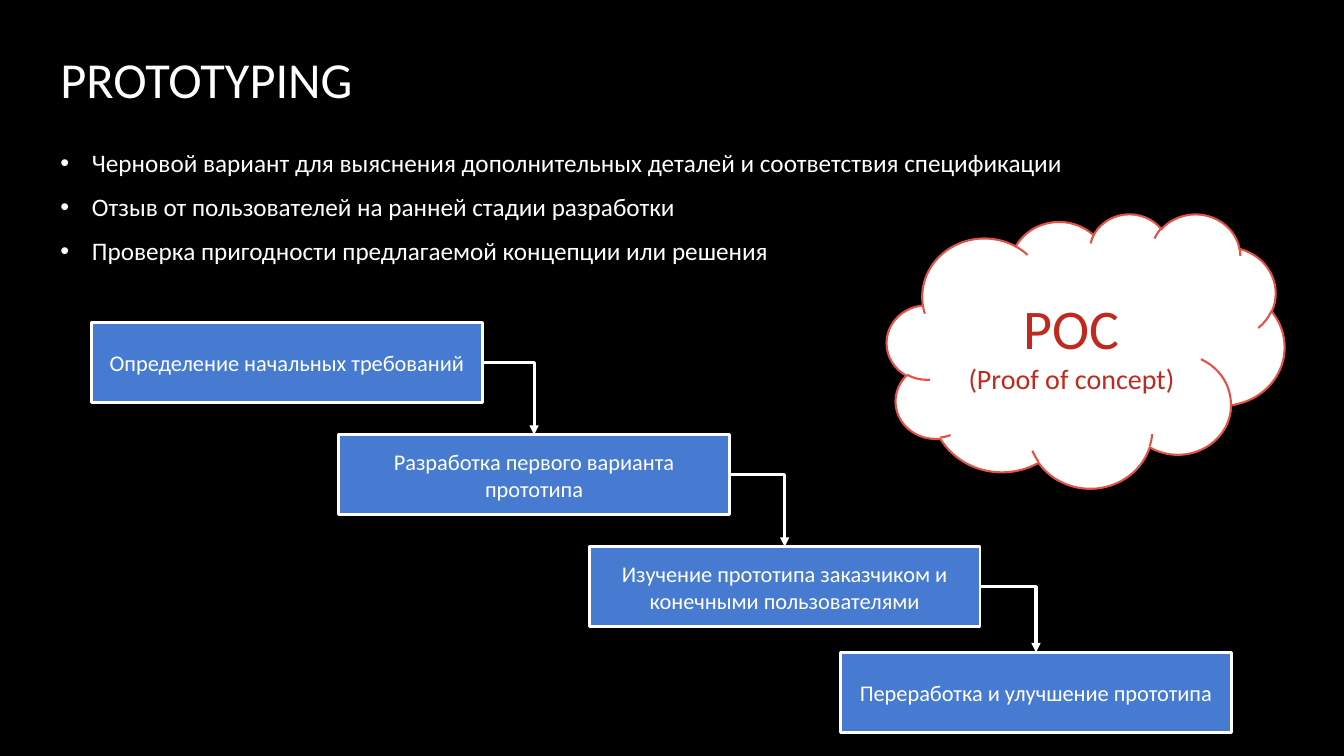
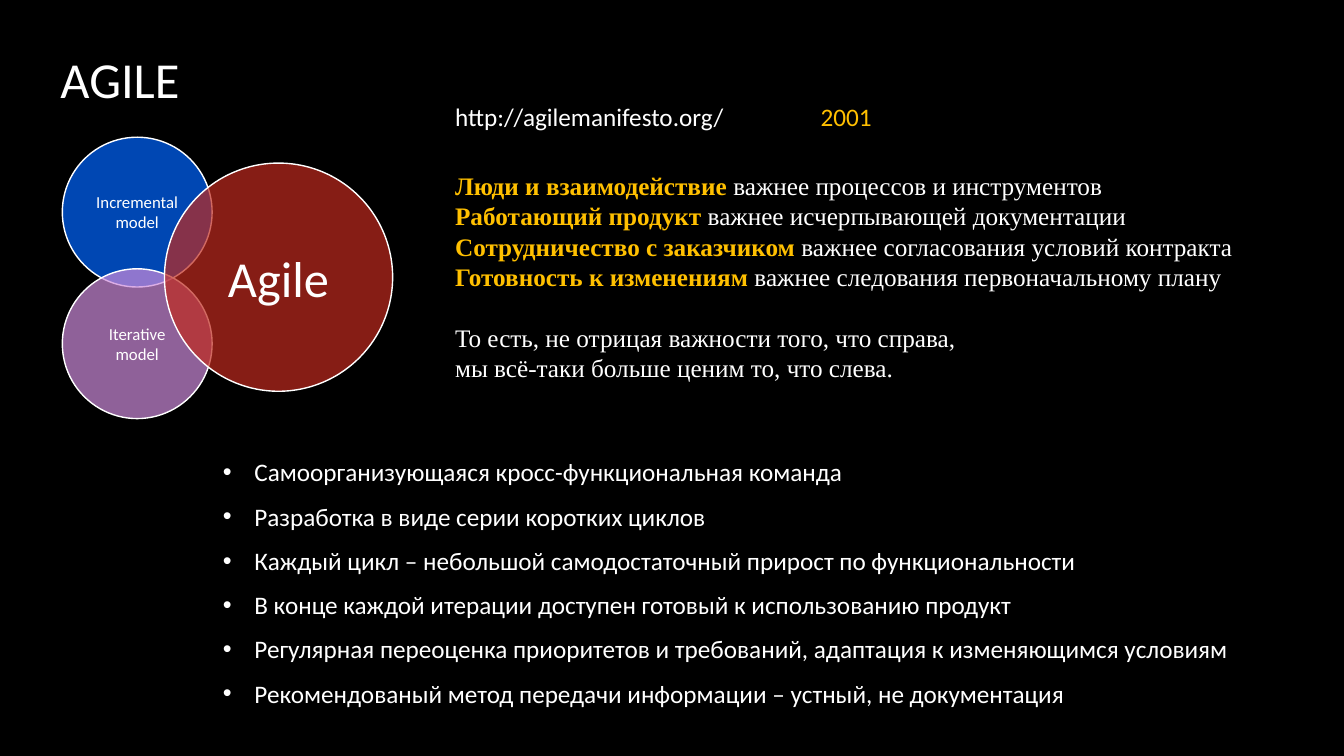
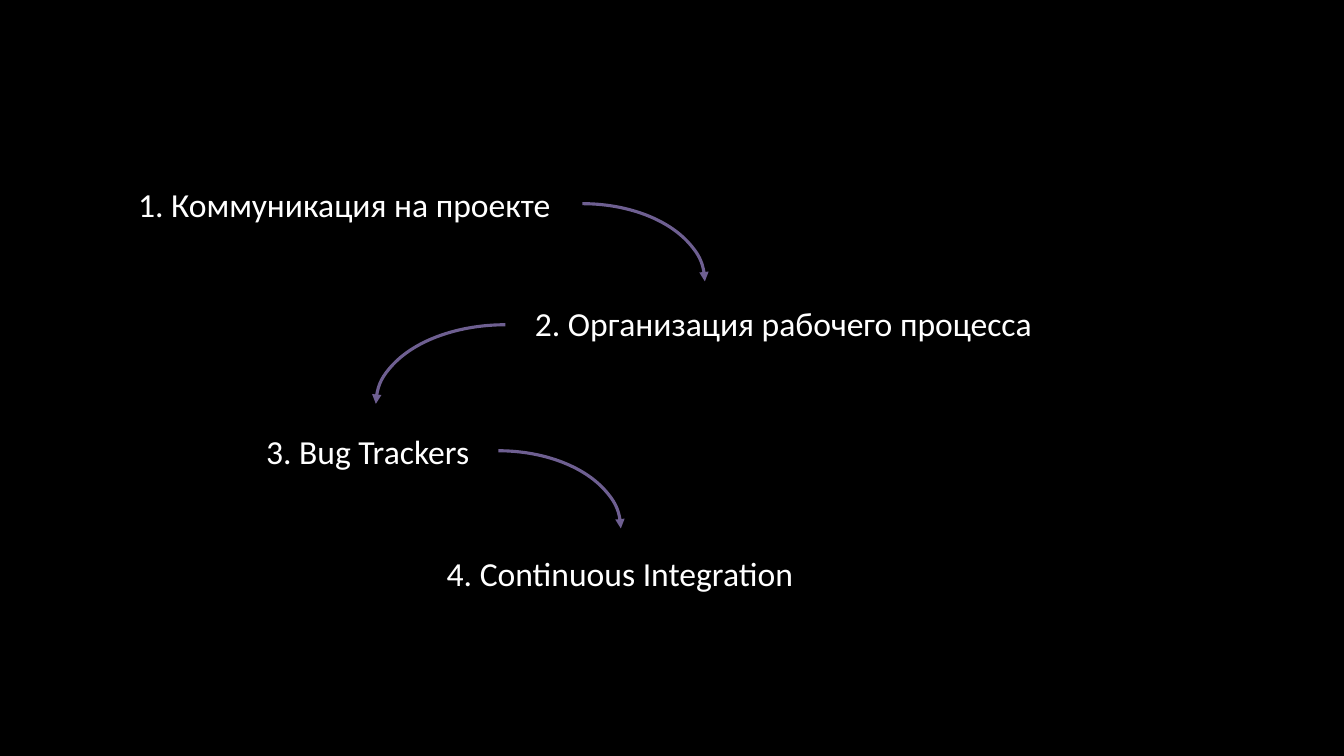
from lxml import etree
from pptx import Presentation
from pptx.dml.color import RGBColor
from pptx.enum import shapes, text
from pptx.oxml.ns import qn
from pptx.util import Pt

COLORS = {
    "background": "000000", "white": "FFFFFF", "step": "477BD1",
    "red": "C02A1E", "cloud_edge": "E25247", "blue": "0066FF",
    "violet": "CD8BDA", "accent": "FFC000", "arrow": "6E5F91",
}
FONT = "Calibri"


def rgb(key):
    return RGBColor.from_string(COLORS[key])


def write(frame, lines, size, color="white", align=text.PP_ALIGN.LEFT,
          anchor=text.MSO_ANCHOR.MIDDLE):
    """Fill a text frame with one uniformly formatted paragraph per line."""
    frame.word_wrap = True
    frame.auto_size = text.MSO_AUTO_SIZE.NONE
    frame.vertical_anchor = anchor
    frame.text = "\n".join(lines)
    for paragraph in frame.paragraphs:
        paragraph.alignment = align
        paragraph.font.name = FONT
        paragraph.font.size = Pt(size)
        paragraph.font.color.rgb = rgb(color)


prs = Presentation()
prs.slide_width, prs.slide_height = Pt(960), Pt(540)
background = prs.slide_master.background.fill
background.solid()
background.fore_color.rgb = rgb("background")

# Titles and bullet lists: title, list position and size, list items
topics = [
    ("PROTOTYPING", (36, 96, 798, 103), [
        "Черновой вариант для выяснения дополнительных деталей и соответствия спецификации",
        "Отзыв от пользователей на ранней стадии разработки",
        "Проверка пригодности предлагаемой концепции или решения",
    ]),
    ("AGILE", (152, 315, 751, 202), [
        "Самоорганизующаяся кросс-функциональная команда",
        "Разработка в виде серии коротких циклов",
        "Каждый цикл – небольшой самодостаточный прирост по функциональности",
        "В конце каждой итерации доступен готовый к использованию продукт",
        "Регулярная переоценка приоритетов и требований, адаптация к изменяющимся условиям",
        "Рекомендованый метод передачи информации – устный, не документация",
    ]),
]
for heading, place, items in topics:
    slide = prs.slides.add_slide(prs.slide_layouts[1])
    title, bullets = slide.placeholders
    title.left, title.top, title.width, title.height = Pt(36), Pt(21), Pt(344), Pt(70)
    write(title.text_frame, [heading], 36)
    bullets.left, bullets.top, bullets.width, bullets.height = map(Pt, place)
    write(bullets.text_frame, items, 18)
    for item in bullets.text_frame.paragraphs:
        item.space_before, item.space_after = Pt(0), Pt(10)
        properties = item._p.get_or_add_pPr()
        properties.set("marL", str(Pt(22.5)))
        properties.set("indent", str(Pt(-22.5)))
prototyping, agile = prs.slides

# Prototyping: staircase of steps
steps = [
    (65.5, 230.5, "Определение начальных требований"),
    (242, 310.5, "Разработка первого варианта прототипа"),
    (421, 390.5, "Изучение прототипа заказчиком и конечными пользователями"),
    (600.5, 466, "Переработка и улучшение прототипа"),
]
previous = None
for left, top, label in steps:
    step = prototyping.shapes.add_shape(
        shapes.MSO_SHAPE.RECTANGLE, Pt(left), Pt(top), Pt(279), Pt(57))
    step.shadow.inherit = False
    step.fill.solid()
    step.fill.fore_color.rgb = rgb("step")
    step.line.color.rgb = rgb("white")
    step.line.width = Pt(2)
    write(step.text_frame, [label], 16, align=text.PP_ALIGN.CENTER)
    if previous is not None:
        link = prototyping.shapes.add_connector(shapes.MSO_CONNECTOR.ELBOW, 0, 0, 0, 0)
        link.begin_connect(previous, 3)
        link.end_connect(step, 0)
        link.line.color.rgb = rgb("white")
        link.line.width = Pt(2.25)
        link_properties = link._element.spPr
        link_properties.find(qn("a:prstGeom")).set("prst", "bentConnector2")
        etree.SubElement(link.line._get_or_add_ln(), qn("a:tailEnd"), type="triangle")
        etree.SubElement(link_properties, qn("a:effectLst"))
    previous = step

# Prototyping: concept cloud
cloud = prototyping.shapes.add_shape(
    shapes.MSO_SHAPE.CLOUD, Pt(633.5), Pt(152.5), Pt(284), Pt(196))
cloud.shadow.inherit = False
cloud.fill.solid()
cloud.fill.fore_color.rgb = rgb("white")
cloud.line.color.rgb = rgb("cloud_edge")
cloud.line.width = Pt(1.5)
write(cloud.text_frame, ["POC", "(Proof of concept)"], 20, "red", text.PP_ALIGN.CENTER)
cloud.text_frame.paragraphs[0].font.size = Pt(40)

# Agile: overlapping translucent circles
circles = [
    (44.5, 98, 107, "blue", 12, ["Incremental", "model"]),
    (44.5, 192, 107, "violet", 12, ["Iterative", "model"]),
    (117.5, 116.5, 163, "red", 36, ["Agile"]),
]
for left, top, diameter, color, size, label in circles:
    circle = agile.shapes.add_shape(
        shapes.MSO_SHAPE.OVAL, Pt(left), Pt(top), Pt(diameter), Pt(diameter))
    circle.shadow.inherit = False
    circle.fill.solid()
    circle.fill.fore_color.rgb = rgb(color)
    tint = circle._element.spPr.find(qn("a:solidFill"))[0]
    etree.SubElement(tint, qn("a:alpha"), val="70000")
    circle.line.color.rgb = rgb("white")
    circle.line.width = Pt(1)
    write(circle.text_frame, label, size, align=text.PP_ALIGN.CENTER)
    circle.text_frame.margin_left = circle.text_frame.margin_right = 0

# Agile: address and year of the manifesto
for left, width, label, color in [(318, 220, "http://agilemanifesto.org/", "white"),
                                  (579, 60, "2001", "accent")]:
    caption = agile.shapes.add_textbox(Pt(left), Pt(68.5), Pt(width), Pt(29))
    write(caption.text_frame, [label], 18, color, anchor=text.MSO_ANCHOR.TOP)

# Agile: manifesto
values = [
    ("Люди и взаимодействие", " важнее процессов и инструментов"),
    ("Работающий продукт", " важнее исчерпывающей документации"),
    ("Сотрудничество с заказчиком", " важнее согласования условий контракта"),
    ("Готовность к изменениям", " важнее следования первоначальному плану"),
    ("", "То есть, не отрицая важности того, что справа,"),
    ("", "мы всё-таки больше ценим то, что слева."),
]
manifesto = agile.shapes.add_textbox(Pt(318), Pt(118), Pt(589), Pt(160)).text_frame
write(manifesto, [preferred + rest for preferred, rest in values], 18,
      anchor=text.MSO_ANCHOR.TOP)
for paragraph, (preferred, rest) in zip(manifesto.paragraphs, values):
    paragraph.font.name = "Times New Roman"
    paragraph.line_spacing = Pt(21.7)
    if preferred:
        paragraph.runs[0].text = preferred
        paragraph.runs[0].font.bold = True
        paragraph.runs[0].font.color.rgb = rgb("accent")
        paragraph.add_run().text = rest
manifesto.paragraphs[4].space_before = Pt(21.7)

# Agenda: four topics
agenda = prs.slides.add_slide(prs.slide_layouts[6])
for left, top, width, label in [
    (91.5, 127.5, 314, "1. Коммуникация на проекте"),
    (375, 212.5, 375, "2. Организация рабочего процесса"),
    (183, 304, 163, "3. Bug Trackers"),
    (312, 391.5, 266, "4. Continuous Integration"),
]:
    topic = agenda.shapes.add_textbox(Pt(left), Pt(top), Pt(width), Pt(36))
    write(topic.text_frame, [label], 24, anchor=text.MSO_ANCHOR.TOP)

# Agenda: curved arrows, the second one mirrored
for left, top, width, height, mirrored in [
    (328.5, 145.5, 175, 111, False),
    (268.5, 232, 185, 113, True),
    (268.5, 322, 175, 111, False),
]:
    arrow = agenda.shapes.add_shape(
        shapes.MSO_SHAPE.ARC, Pt(left), Pt(top), Pt(width), Pt(height))
    arrow.shadow.inherit = False
    arrow.fill.background()
    arrow.line.color.rgb = rgb("arrow")
    arrow.line.width = Pt(2.25)
    etree.SubElement(arrow.line._get_or_add_ln(), qn("a:tailEnd"), type="triangle")
    if mirrored:
        arrow._element.spPr.find(qn("a:xfrm")).set("flipH", "1")

prs.save("out.pptx")
